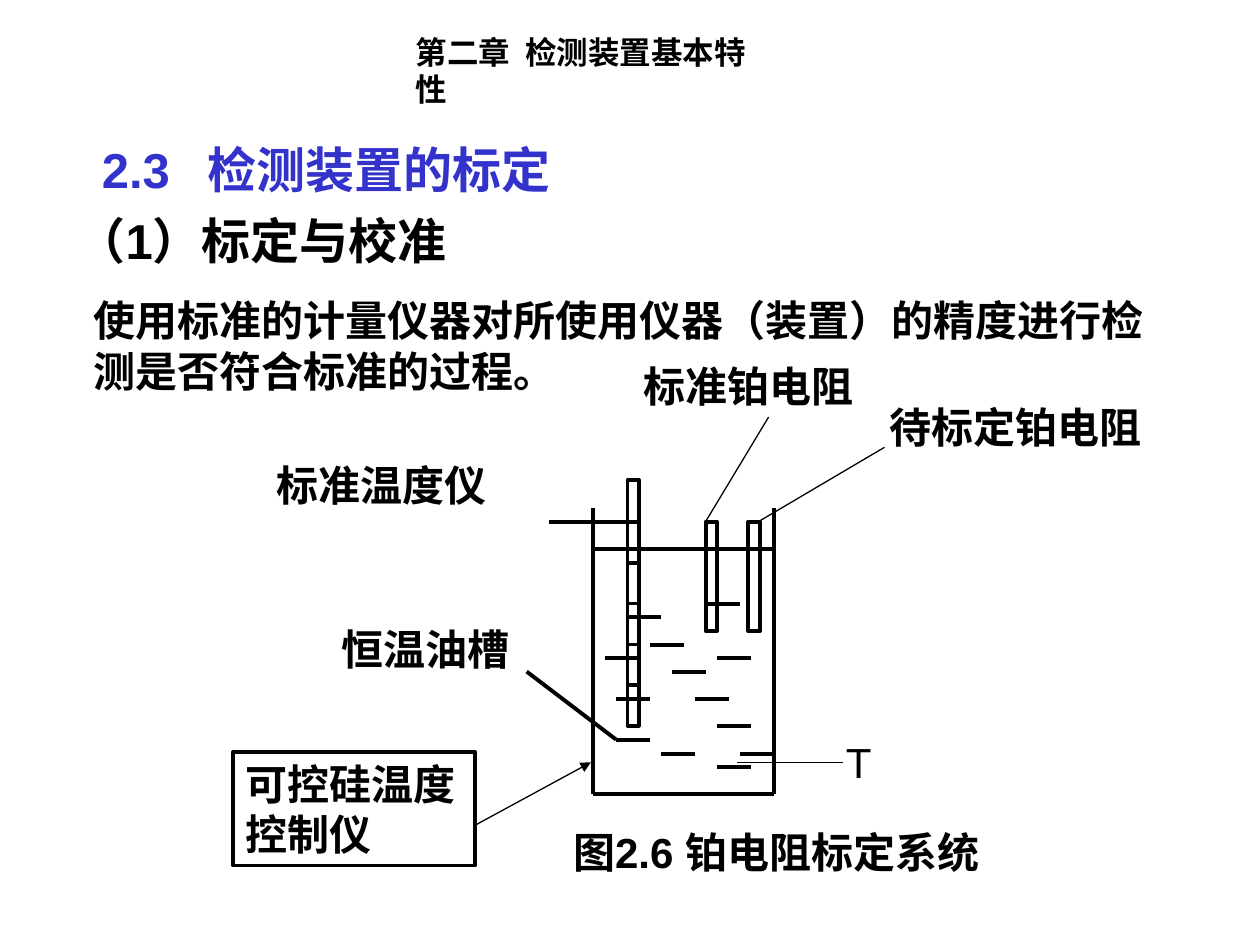
from pptx import Presentation
from pptx.dml.color import RGBColor
from pptx.enum.shapes import MSO_CONNECTOR, MSO_SHAPE
from pptx.enum.text import MSO_ANCHOR, PP_ALIGN
from pptx.oxml.ns import qn
from pptx.util import Inches, Pt
from lxml import etree

STRAIGHT = MSO_CONNECTOR.STRAIGHT
RECTANGLE = MSO_SHAPE.RECTANGLE
LEFT, CENTER = PP_ALIGN.LEFT, PP_ALIGN.CENTER
TOP, MIDDLE, BOTTOM = MSO_ANCHOR.TOP, MSO_ANCHOR.MIDDLE, MSO_ANCHOR.BOTTOM
COLORS = {"ink": "000000", "heading": "3333CC"}
FONT = "Arial"
THICK, THIN = 2.25, 0.75


class SlideBuilder:
    def __init__(self, slide):
        self.slide = slide

    def set_text(self, shape, text, size=24, color="ink", bold=True, align=LEFT,
                 anchor=TOP, wrap=True, tab=None):
        frame = shape.text_frame
        frame.word_wrap = wrap
        frame.vertical_anchor = anchor
        paragraph = frame.paragraphs[0]
        paragraph.text = text
        paragraph.alignment = align
        if tab:
            properties = paragraph._p.get_or_add_pPr()
            tabs = etree.SubElement(properties, qn("a:tabLst"))
            etree.SubElement(tabs, qn("a:tab"), pos=str(Inches(tab)), algn="l")
        font = paragraph.font
        font.name, font.size, font.bold = FONT, Pt(size), bold
        font.color.rgb = RGBColor.from_string(COLORS[color])

    def text(self, text, left, top, width, height, **style):
        box = self.slide.shapes.add_textbox(
            Inches(left), Inches(top), Inches(width), Inches(height))
        self.set_text(box, text, **style)

    def rectangle(self, left, top, width, height):
        shape = self.slide.shapes.add_shape(
            RECTANGLE, Inches(left), Inches(top), Inches(width), Inches(height))
        shape.shadow.inherit = False
        shape.fill.background()
        self.stroke(shape, THICK)
        return shape

    def line(self, x1, y1, x2, y2, width=THICK, arrow=False):
        connector = self.slide.shapes.add_connector(
            STRAIGHT, Inches(x1), Inches(y1), Inches(x2), Inches(y2))
        self.stroke(connector, width)
        if arrow:
            outline = connector._element.spPr.find(qn("a:ln"))
            etree.SubElement(outline, qn("a:tailEnd"), type="triangle")
        etree.SubElement(connector._element.spPr, qn("a:effectLst"))

    def stroke(self, shape, width):
        shape.line.color.rgb = RGBColor.from_string(COLORS["ink"])
        shape.line.width = Pt(width)


def draw_text(builder):
    builder.text("第二章\t检测装置基本特性", 3.2, 0.21, 3.06, 0.4,
                 size=18, wrap=False, tab=0.87)
    builder.text("2.3\t检测装置的标定", 0.71, 0.98, 8.18, 0.64,
                 size=28, color="heading", anchor=BOTTOM, tab=0.84)
    builder.text("（1）标定与校准", 0.51, 1.62, 3.54, 0.57, size=28)
    builder.text("使用标准的计量仪器对所使用仪器（装置）的精度进行检测是否符合标准的过程。",
                 0.64, 2.29, 8.58, 0.9, anchor=MIDDLE)
    builder.text("图2.6 铂电阻标定系统", 4.45, 6.51, 3.47, 0.9)


def draw_tank(builder):
    left, right, rim, surface, bottom = 4.71, 6.14, 4.03, 4.36, 6.3
    for x in (left, right):
        builder.line(x, rim, x, bottom)
    for y in (bottom, surface):
        builder.line(left, y, right, y)
    column = (right - left) / 16
    row = (6.09 - surface) / 16
    diagonal = [(step, step + 2) for step in range(3, 12, 2)]
    scattered = [(6, 15), (2, 11), (10, 4), (11, 8), (11, 16), (2, 14), (1, 8), (13, 15)]
    for across, down in diagonal + scattered:
        x, y = left + across * column, surface + down * row
        builder.line(x, y, x + 3 * column, y)


def draw_instruments(builder):
    width, top = 0.09, 4.14
    thermometer = 4.98
    builder.rectangle(thermometer, 3.81, width, 1.95)
    for mark in range(5):
        y = top + mark * 1.3 / 4
        builder.line(thermometer, y, thermometer + width, y)
    for x in (5.6, 5.94):
        builder.rectangle(x, top, width, 0.87)
    controller = builder.rectangle(1.85, 5.97, 1.92, 0.9)
    builder.set_text(controller, "可控硅温度控制仪")


def draw_labels(builder):
    for text, left, top, width in (
        ("恒温油槽", 2.31, 4.9, 2.14),
        ("标准温度仪", 1.6, 3.6, 2.85),
        ("标准铂电阻", 4.94, 2.81, 2),
        ("待标定铂电阻", 6.85, 3.14, 2.42),
    ):
        builder.text(text, left, top, width, 0.5, align=CENTER)
    builder.text("T", 6.44, 5.8, 0.75, 0.5, bold=False, align=CENTER)
    builder.line(4.36, 4.14, 4.98, 4.14)
    builder.line(4.18, 5.33, 4.89, 5.87)
    builder.line(3.77, 6.55, 4.69, 6.05, THIN, arrow=True)
    builder.line(5.85, 6.05, 6.69, 6.05, THIN)
    builder.line(5.6, 4.14, 6.1, 3.31, THIN)
    builder.line(6.02, 4.14, 7.02, 3.55, THIN)


def main():
    presentation = Presentation()
    presentation.slide_width = Inches(10)
    presentation.slide_height = Inches(7.5)
    slide = presentation.slides.add_slide(presentation.slide_layouts[6])
    builder = SlideBuilder(slide)
    draw_text(builder)
    draw_tank(builder)
    draw_instruments(builder)
    draw_labels(builder)
    presentation.save("out.pptx")


if __name__ == "__main__":
    main()
